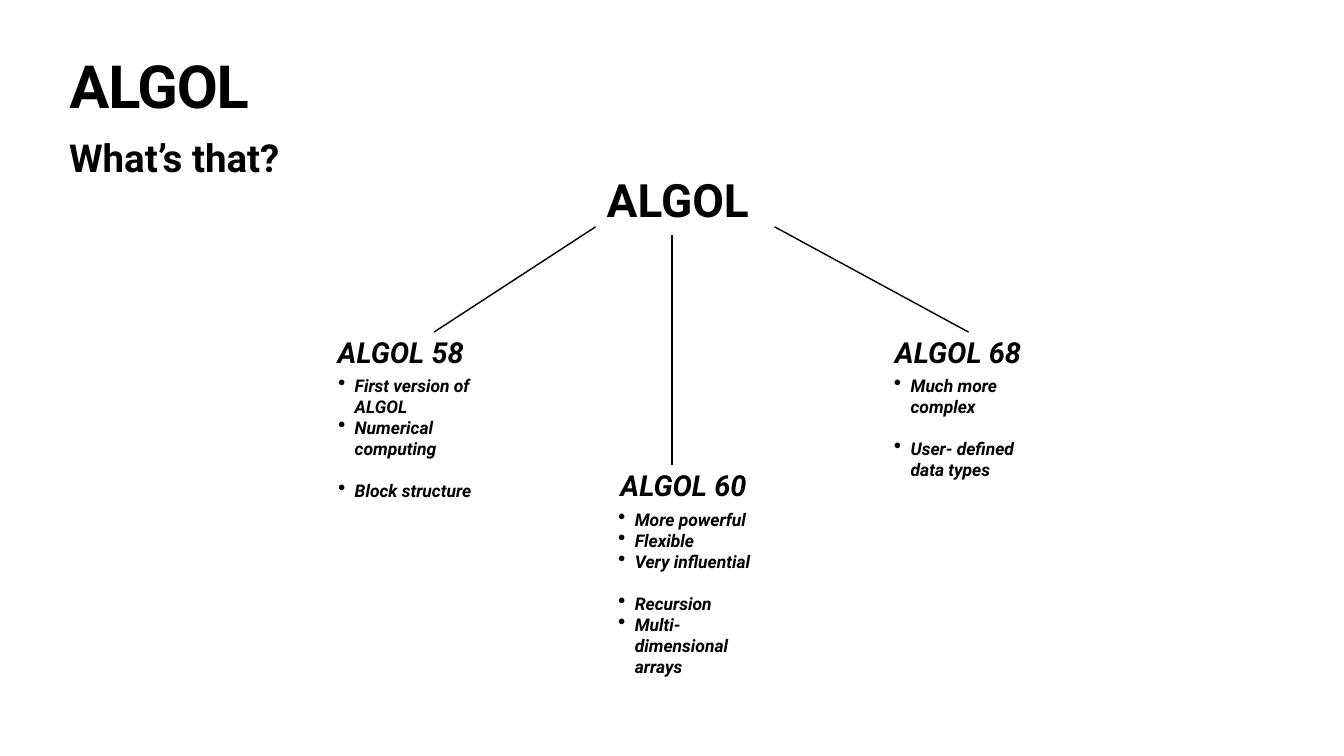
from dataclasses import dataclass
from lxml.etree import SubElement as Sub
from pptx import Presentation as Deck
from pptx.dml.color import RGBColor as Rgb
from pptx.enum.shapes import MSO_CONNECTOR as Link
from pptx.enum.text import MSO_ANCHOR as Anchor
from pptx.oxml.ns import qn
from pptx.util import Cm, Pt


@dataclass(frozen=True)
class Theme:
    font: str = "Roboto"
    ink: Rgb = Rgb(0, 0, 0)
    paper: Rgb = Rgb(255, 255, 255)
    title: float = 85
    sub: float = 55
    root: float = 65.6
    head: float = 41.3
    item: float = 25
    gap: float = 30
    rule: float = 2


class Page:
    def __init__(self, deck, theme):
        self.theme = theme
        self.slide = deck.slides.add_slide(deck.slide_layouts[6])
        fill = self.slide.background.fill
        fill.solid()
        fill.fore_color.rgb = theme.paper

    def style(self, para, size, slant=False):
        for run in para.runs:
            font = run.font
            font.name, font.size = self.theme.font, Pt(size)
            font.bold, font.italic = True, slant
            font.color.rgb = self.theme.ink

    def frame(self, box, inset):
        frame = self.slide.shapes.add_textbox(*map(Cm, box)).text_frame
        frame.word_wrap = True
        frame.vertical_anchor = Anchor.TOP
        frame.margin_left = frame.margin_right = Cm(inset)
        frame.margin_top = frame.margin_bottom = Cm(inset)
        return frame

    def text(self, words, box, size, slant=False, lead=1.0, track=0, inset=0.13):
        frame = self.frame(box, inset)
        frame.text = words
        para = frame.paragraphs[0]
        para.line_spacing = lead
        self.style(para, size, slant)
        if track:
            para.runs[0].font._element.set("spc", str(track))

    def bullets(self, groups, box):
        frame = self.frame(box, 0.15)
        frame.text = "\n".join(item for group in groups for item in group)
        starts = [i == 0 for group in groups for i in range(len(group))]
        for i, (para, start) in enumerate(zip(frame.paragraphs, starts)):
            if start and i:
                para.space_before = Pt(self.theme.gap)
            self.style(para, self.theme.item, True)
            props = para._p.get_or_add_pPr()
            props.set("marL", str(Cm(0.84)))
            props.set("indent", str(-Cm(0.84)))
            Sub(props, qn("a:buSzPct"), val="123000")
            Sub(props, qn("a:buChar"), char="•")

    def line(self, start, end):
        line = self.slide.shapes.add_connector(
            Link.STRAIGHT, *map(Cm, start + end))
        line.line.color.rgb = self.theme.ink
        line.line.width = Pt(self.theme.rule)
        Sub(line._element.spPr, qn("a:effectLst"))


BRANCHES = [
    ("ALGOL 58", (16.89, 16.74), (16.89, 18.75), 7.67,
     (30.02, 11.43), (21.87, 16.74),
     [["First version of ALGOL", "Numerical computing"],
      ["Block structure"]]),
    ("ALGOL 60", (31.14, 23.44), (31.01, 25.5), 10.85,
     (33.86, 11.86), (33.86, 23.44),
     [["More powerful", "Flexible", "Very influential"],
      ["Recursion", "Multi-dimensional arrays"]]),
    ("ALGOL 68", (44.98, 16.74), (44.91, 18.75), 6.6,
     (39.04, 11.43), (48.82, 16.74),
     [["Much more complex"], ["User- defined data types"]]),
]


def main():
    deck = Deck()
    deck.slide_width, deck.slide_height = Cm(67.74), Cm(38.1)
    theme = Theme()
    page = Page(deck, theme)
    page.text("ALGOL", (3.35, 3, 61.04, 3.99), theme.title,
              lead=0.8, track=-170, inset=0.15)
    page.text("What’s that?", (3.35, 6.6, 61.04, 2.59), theme.sub)
    page.text("ALGOL", (30.45, 8.84, 8.31, 3.02), theme.root, lead=0.9)
    for name, head, body, tall, start, end, groups in BRANCHES:
        page.line(start, end)
        page.text(name, head + (7.8, 2.59), theme.head, slant=True)
        page.bullets(groups, body + (7.19, tall))
    deck.save("out.pptx")


if __name__ == "__main__":
    main()
